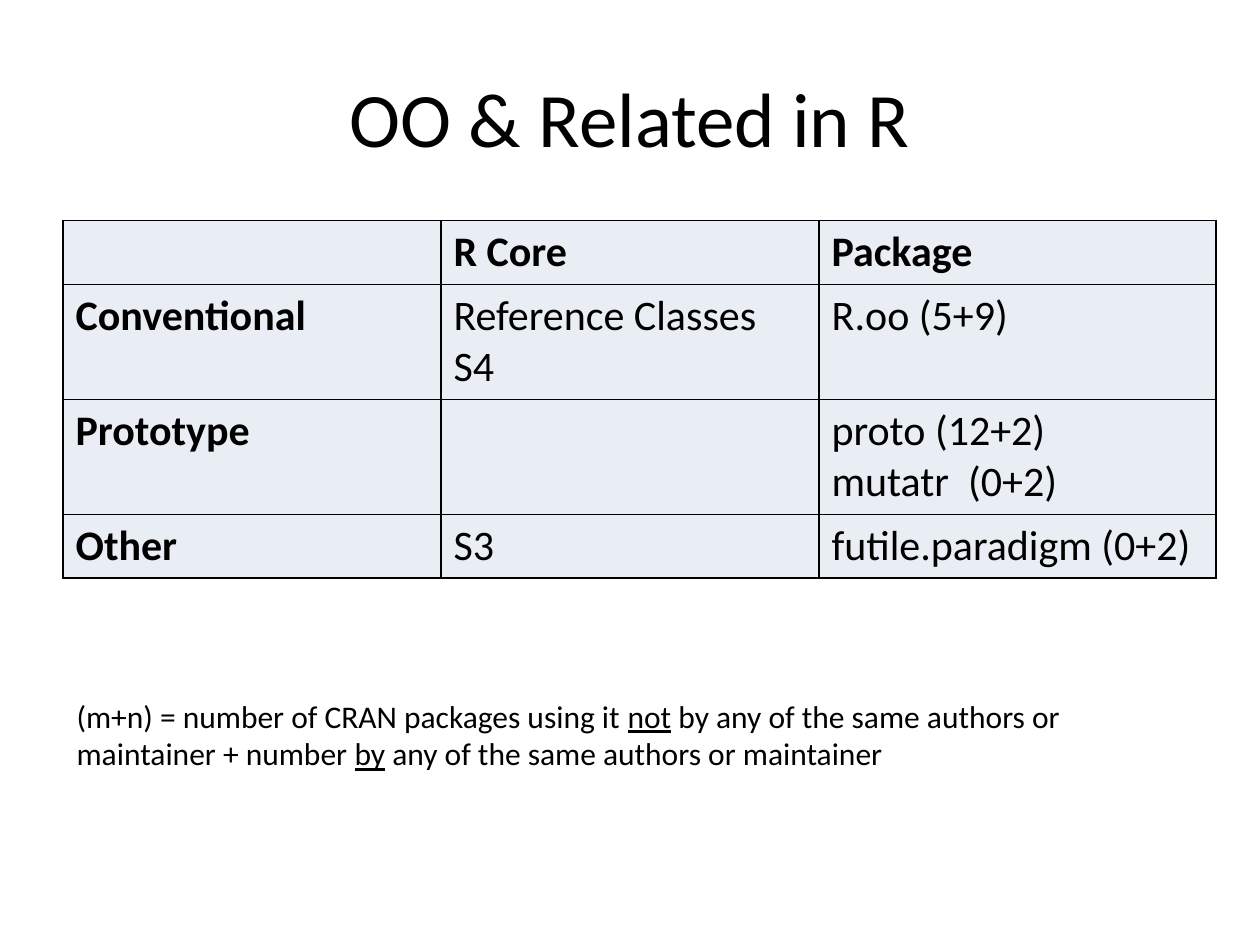
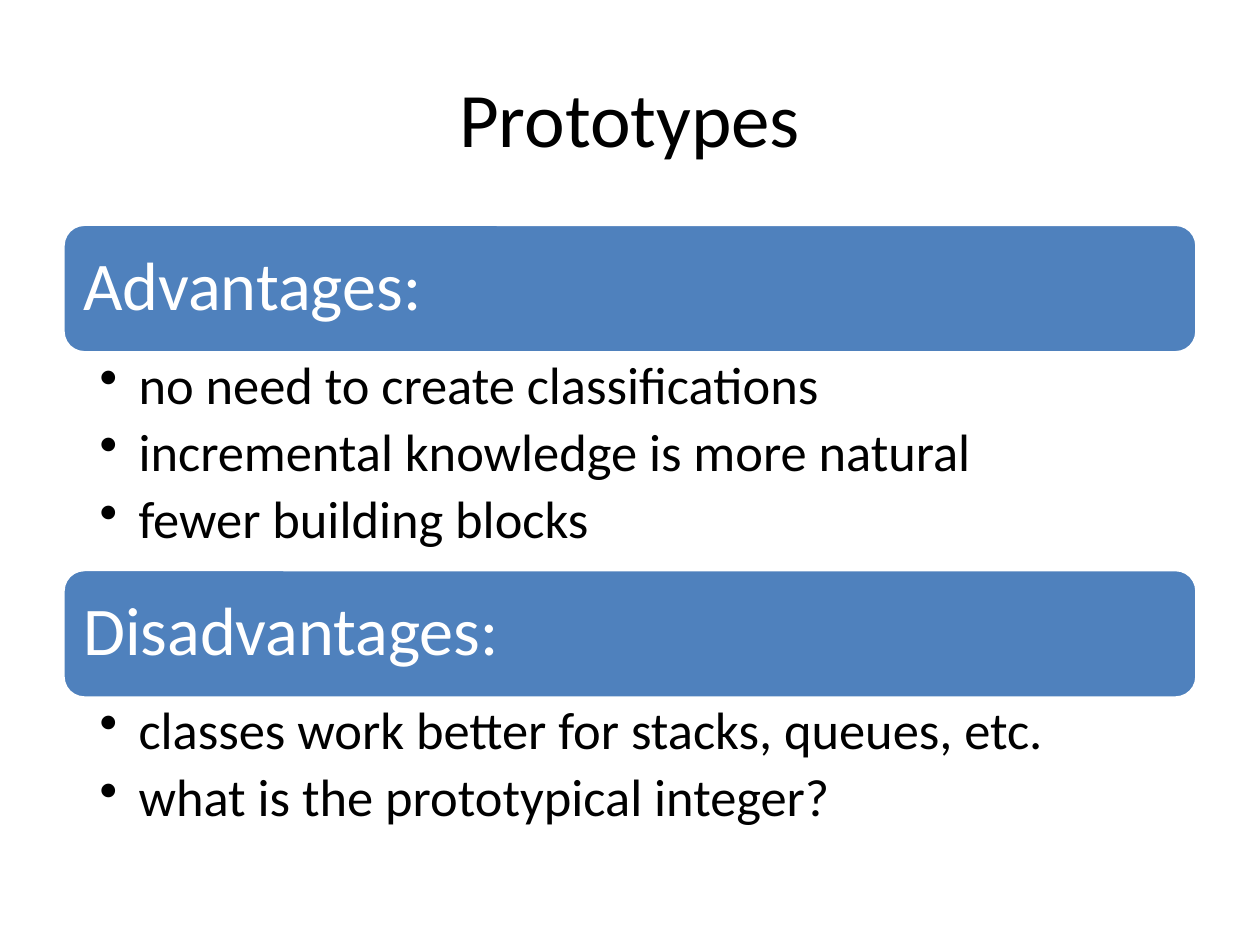
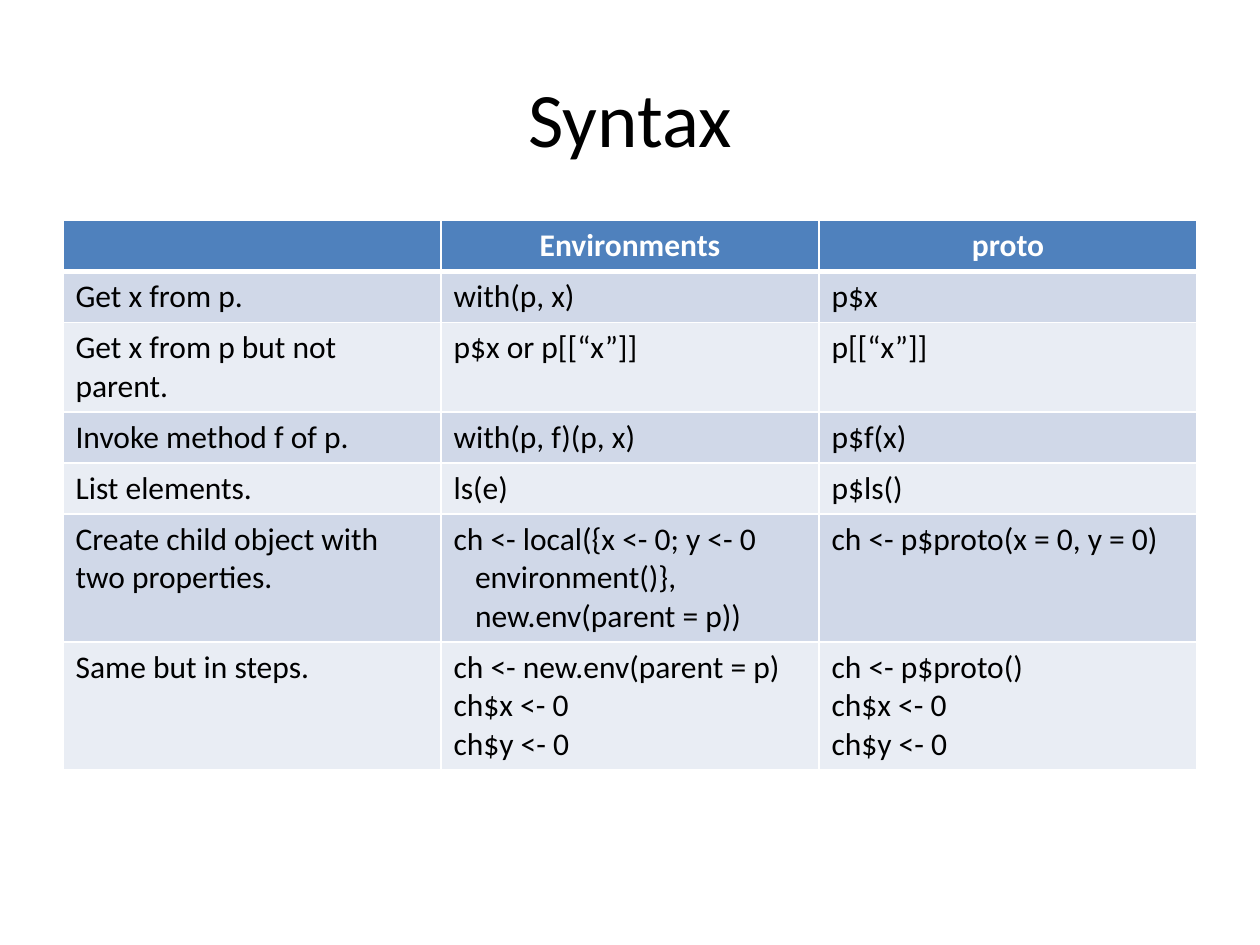
"""Build three slides on object orientation and prototypes in R."""
from pptx import Presentation
from pptx.dml.color import RGBColor
from pptx.enum.shapes import MSO_SHAPE as Preset
from pptx.enum.text import MSO_ANCHOR as Anchor, PP_ALIGN as Align
from pptx.oxml.ns import qn
from pptx.util import Inches, Pt
from lxml.etree import SubElement

FONT = "Calibri"
BLACK = RGBColor(0x00, 0x00, 0x00)
WHITE = RGBColor(0xFF, 0xFF, 0xFF)
BLUE = RGBColor(0x4F, 0x81, 0xBD)
MID_BLUE = RGBColor(0xD0, 0xD8, 0xE8)
PALE_BLUE = RGBColor(0xE9, 0xED, 0xF4)

MARGIN, CONTENT_WIDTH = 0.5, 9
TABLE_TOP, BANDS_TOP = 1.75, 1.78
BAND_HEIGHT, POINT_HEIGHT = 1.02, 0.54
CODE_INDENT = 0.17

SYSTEMS = [
    ["", "R Core", "Package"],
    ["Conventional", "Reference Classes\nS4", "R.oo (5+9)"],
    ["Prototype", "", "proto (12+2)\nmutatr  (0+2)"],
    ["Other", "S3", "futile.paradigm (0+2)"],
]
SYSTEM_LINES = [1, 2, 2, 1]
USAGE_NOTE = [
    ("(m+n) = number of CRAN packages using it ", False),
    ("not", True),
    (" by any of the same authors or maintainer + number ", False),
    ("by", True),
    (" any of the same authors or maintainer", False),
]
ARGUMENTS = {
    "Advantages:": [
        "no need to create classifications",
        "incremental knowledge is more natural",
        "fewer building blocks",
    ],
    "Disadvantages:": [
        "classes work better for stacks, queues, etc.",
        "what is the prototypical integer?",
    ],
}
SYNTAX = [
    ["", "Environments", "proto"],
    ["Get x from p.", "with(p, x)", "p$x"],
    ["Get x from p but not parent.", "p$x or p[[“x”]]", "p[[“x”]]"],
    ["Invoke method f of p.", "with(p, f)(p, x)", "p$f(x)"],
    ["List elements.", "ls(e)", "p$ls()"],
    ["Create child object with two properties.",
     "ch <- local({x <- 0; y <- 0\n\tenvironment()},\n\tnew.env(parent = p))",
     "ch <- p$proto(x = 0, y = 0)"],
    ["Same but in steps.", "ch <- new.env(parent = p)\nch$x <- 0\nch$y <- 0",
     "ch <- p$proto()\nch$x <- 0\nch$y <- 0"],
]
SYNTAX_LINES = [1, 1, 2, 1, 1, 3, 3]


def add_run(paragraph, text, size, color=BLACK, bold=False, underline=False):
    run = paragraph.add_run()
    run.text = text
    font = run.font
    font.name, font.size, font.bold, font.underline = FONT, Pt(size), bold, underline
    font.color.rgb = color


def add_frame(slide, left, top, width, height):
    frame = slide.shapes.add_textbox(*map(Inches, (left, top, width, height))).text_frame
    frame.word_wrap = True
    return frame


def paragraphs(frame, count):
    return [frame.paragraphs[0]] + [frame.add_paragraph() for _ in range(count - 1)]


def add_titled_slide(deck, title):
    slide = deck.slides.add_slide(deck.slide_layouts[6])
    frame = add_frame(slide, MARGIN, 0.3, CONTENT_WIDTH, 1.25)
    frame.vertical_anchor = Anchor.MIDDLE
    frame.paragraphs[0].alignment = Align.CENTER
    add_run(frame.paragraphs[0], title, 44)
    return slide


def set_borders(cell, color, bottom=1):
    properties = cell._tc.get_or_add_tcPr()
    for side, width in (("L", 1), ("R", 1), ("T", 1), ("B", bottom)):
        line = SubElement(properties, qn(f"a:ln{side}"), w=str(Pt(width)))
        SubElement(SubElement(line, qn("a:solidFill")), qn("a:srgbClr"), val=str(color))


def fill_cell(cell, text, size, fill, border, bottom=1, color=BLACK, bold=False, align=Align.LEFT):
    set_borders(cell, border, bottom)
    cell.fill.solid()
    cell.fill.fore_color.rgb = fill
    if not text:
        return
    lines = text.split("\n")
    for paragraph, line in zip(paragraphs(cell.text_frame, len(lines)), lines):
        paragraph.alignment = align
        if line.startswith("\t"):
            paragraph._p.get_or_add_pPr().set("marL", str(Inches(CODE_INDENT)))
        add_run(paragraph, line.strip(), size, color, bold)


def add_grid(slide, rows, line_counts, widths, size, style):
    heights = [0.1 + count * size * 1.22 / 72 for count in line_counts]
    table = slide.shapes.add_table(
        len(rows), len(widths), Inches(MARGIN), Inches(TABLE_TOP),
        Inches(sum(widths)), Inches(sum(heights))).table
    for column, width in zip(table.columns, widths):
        column.width = Inches(width)
    for r, (texts, height) in enumerate(zip(rows, heights)):
        table.rows[r].height = Inches(height)
        for c, text in enumerate(texts):
            fill_cell(table.cell(r, c), text, size, **style(r, c))


def system_style(row, column):
    return dict(fill=PALE_BLUE, border=BLACK, bold=row == 0 or column == 0)


def syntax_style(row, column):
    if row == 0:
        return dict(fill=BLUE, border=WHITE, bottom=3, color=WHITE, bold=True, align=Align.CENTER)
    return dict(fill=MID_BLUE if row % 2 else PALE_BLUE, border=WHITE)


def add_band(slide, heading, top):
    band = slide.shapes.add_shape(
        Preset.ROUNDED_RECTANGLE, *map(Inches, (MARGIN, top, CONTENT_WIDTH, BAND_HEIGHT)))
    band.shadow.inherit = False
    band.fill.solid()
    band.fill.fore_color.rgb = BLUE
    band.line.color.rgb = WHITE
    band.line.width = Pt(2)
    frame = band.text_frame
    frame.margin_left = Inches(0.11)
    frame.vertical_anchor = Anchor.MIDDLE
    frame.paragraphs[0].alignment = Align.LEFT
    frame.paragraphs[0].line_spacing = 0.9
    add_run(frame.paragraphs[0], heading, 39, WHITE)


def add_points(slide, points, top, height):
    frame = add_frame(slide, MARGIN, top, CONTENT_WIDTH, height)
    frame.margin_left, frame.margin_right = Inches(0.29), Inches(0.3)
    for paragraph, point in zip(paragraphs(frame, len(points)), points):
        paragraph.line_spacing = 0.9
        paragraph.space_after = Pt(6)
        properties = paragraph._p.get_or_add_pPr()
        properties.set("marL", str(Inches(0.31)))
        properties.set("indent", str(-Inches(0.31)))
        SubElement(properties, qn("a:buChar"), char="•")
        add_run(paragraph, point, 30)


def main():
    deck = Presentation()
    deck.slide_width, deck.slide_height = Inches(10), Inches(7.5)

    overview = add_titled_slide(deck, "OO & Related in R")
    add_grid(overview, SYSTEMS, SYSTEM_LINES, [3, 3, 3.15], 24, system_style)
    note = add_frame(overview, 0.51, 5.48, 9.13, 0.71).paragraphs[0]
    for text, underline in USAGE_NOTE:
        add_run(note, text, 18, underline=underline)

    prototypes = add_titled_slide(deck, "Prototypes")
    top = BANDS_TOP
    for heading, points in ARGUMENTS.items():
        add_band(prototypes, heading, top)
        top += BAND_HEIGHT
        height = 0.1 + POINT_HEIGHT * len(points)
        add_points(prototypes, points, top, height)
        top += height

    syntax = add_titled_slide(deck, "Syntax")
    add_grid(syntax, SYNTAX, SYNTAX_LINES, [3, 3, 3], 18, syntax_style)

    deck.save("out.pptx")


if __name__ == "__main__":
    main()
